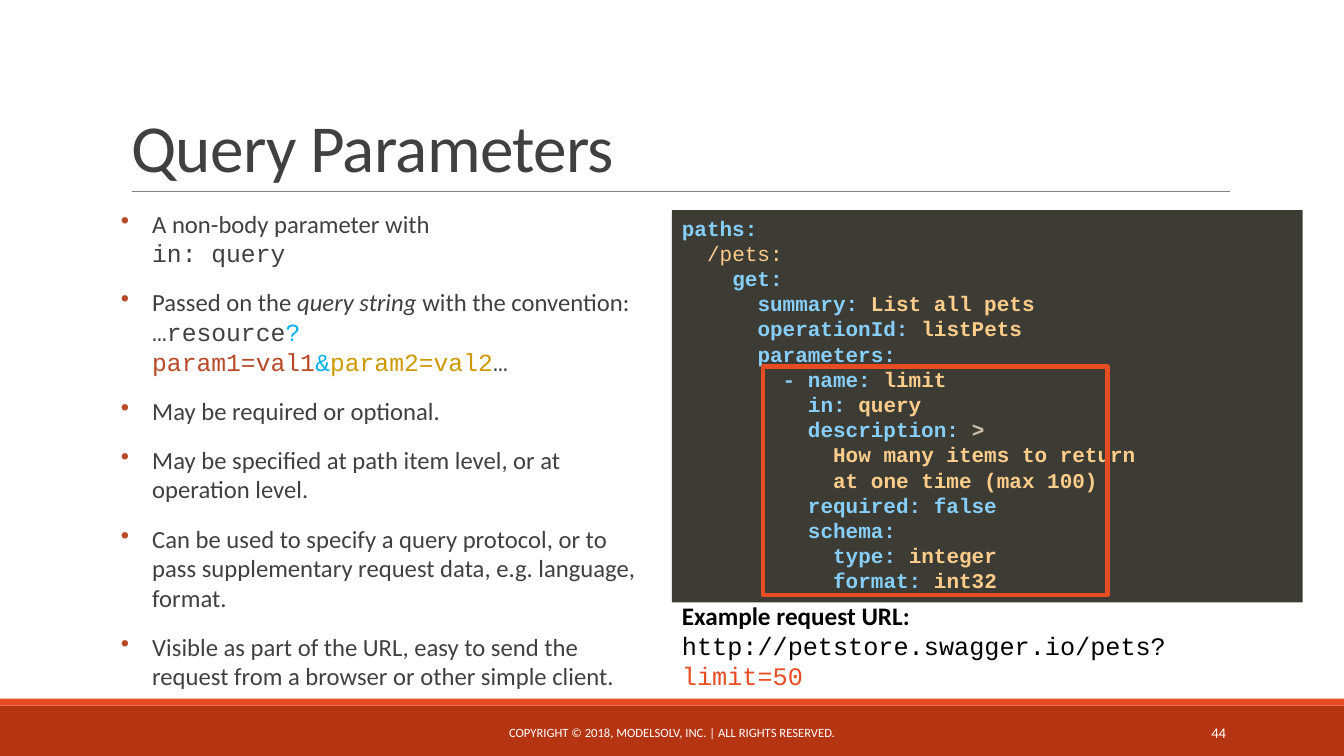
import pptx
import pptx.dml.color
import pptx.enum.shapes
import pptx.enum.text
import pptx.oxml
import pptx.oxml.ns
import pptx.util
from lxml import etree

RGBColor = pptx.dml.color.RGBColor
Pt = pptx.util.Pt
ALIGN = pptx.enum.text.PP_ALIGN
ANCHOR = pptx.enum.text.MSO_ANCHOR

WIDTH, HEIGHT = pptx.util.Inches(13.33), pptx.util.Inches(7.5)
SANS, MONO = "Calibri", "Courier New"

BRICK = RGBColor(0xB5, 0x35, 0x13)
ORANGE = RGBColor(0xE8, 0x4C, 0x22)
RUST = RGBColor(0xB6, 0x49, 0x26)
GOLD = RGBColor(0xCC, 0x99, 0x00)
CYAN = RGBColor(0x00, 0xB0, 0xF0)
GREY = RGBColor(0x80, 0x80, 0x80)
INK = RGBColor(0x40, 0x40, 0x40)
BLACK = RGBColor(0x00, 0x00, 0x00)
WHITE = RGBColor(0xFF, 0xFF, 0xFF)
CODE_BACK = RGBColor(0x3C, 0x3C, 0x34)
CODE_KEY = RGBColor(0x87, 0xCE, 0xFA)
CODE_VALUE = RGBColor(0xFF, 0xCD, 0x8B)
CODE_PLAIN = RGBColor(0xCF, 0xBF, 0xAD)

# Code lines: indent level, key, value
CODE = [
    (0, "paths:", ""),
    (1, "", "/pets:"),
    (2, "get:", ""),
    (3, "summary: ", "List all pets"),
    (3, "operationId: ", "listPets"),
    (3, "parameters:", ""),
    (4, "- name: ", "limit"),
    (5, "in: ", "query"),
    (5, "description:", " >"),
    (6, "", "How many items to return"),
    (6, "", "at one time (max 100)"),
    (5, "required: false", ""),
    (5, "schema:", ""),
    (6, "type: ", "integer"),
    (6, "format: ", "int32"),
]

# Bullets: runs of text with their font settings; None is a line break
BULLETS = [
    [("A non-body parameter with", {}), None, ("in: query", {"name": MONO})],
    [("Passed on the ", {}), ("query string", {"italic": True}),
     (" with the convention:", {}), None,
     ("…resource", {"name": MONO}),
     ("?", {"name": MONO, "color": CYAN}),
     ("param1=val1", {"name": MONO, "color": RUST}),
     ("&", {"name": MONO, "color": CYAN}),
     ("param2=val2", {"name": MONO, "color": GOLD}),
     ("…", {"name": MONO})],
    [("May be required or optional.", {})],
    [("May be specified at path item level, or at operation level.", {})],
    [("Can be used to specify a query protocol, or to pass supplementary "
      "request data, e.g. language, format.", {})],
    [("Visible as part of the URL, easy to send the request from a browser "
      "or other simple client.", {})],
]


def area(x, y, w, h):
    """Turn percentages of the slide into lengths."""
    return [int(size * share / 100) for size, share in
            zip((WIDTH, HEIGHT, WIDTH, HEIGHT), (x, y, w, h))]


def add_rect(s, place, fill=None, line=None):
    sp = s.shapes.add_shape(pptx.enum.shapes.MSO_SHAPE.RECTANGLE, *area(*place))
    sp.shadow.inherit = False
    if fill is None:
        sp.fill.background()
    else:
        sp.fill.solid()
        sp.fill.fore_color.rgb = fill
    if line is None:
        sp.line.fill.background()
    else:
        sp.line.color.rgb = line
        sp.line.width = Pt(3)
    return sp


def add_rule(s, x, y, w):
    left, top, width, _ = area(x, y, w, 0)
    rule = s.shapes.add_connector(
        pptx.enum.shapes.MSO_CONNECTOR.STRAIGHT, left, top, left + width, top)
    rule.line.color.rgb = GREY
    rule.line.width = Pt(0.5)
    etree.SubElement(rule._element.spPr, pptx.oxml.ns.qn("a:effectLst"))


def add_text_box(s, place, anchor=ANCHOR.TOP):
    tf = s.shapes.add_textbox(*area(*place)).text_frame
    tf.word_wrap = True
    tf.vertical_anchor = anchor
    return tf


def add_paragraph(tf, index, align=ALIGN.LEFT):
    p = tf.add_paragraph() if index else tf.paragraphs[0]
    p.alignment = align
    return p


def add_run(p, text, size, color=INK, name=SANS, bold=False, italic=False):
    r = p.add_run()
    r.text = text
    r.font.size = Pt(size)
    r.font.name = name
    r.font.bold = bold
    r.font.italic = italic
    r.font.color.rgb = color
    return r


def add_bullet(p):
    pPr = p._p.get_or_add_pPr()
    pPr.set("marL", str(pptx.util.Inches(0.31)))
    pPr.set("indent", str(-pptx.util.Inches(0.31)))
    color = etree.SubElement(pPr, pptx.oxml.ns.qn("a:buClr"))
    etree.SubElement(color, pptx.oxml.ns.qn("a:srgbClr")).set("val", str(RUST))
    etree.SubElement(pPr, pptx.oxml.ns.qn("a:buChar")).set("char", "•")


def add_bullet_list(s, place):
    tf = add_text_box(s, place)
    tf.margin_left = tf.margin_right = 0
    for i, runs in enumerate(BULLETS):
        p = add_paragraph(tf, i)
        add_bullet(p)
        p.space_before = Pt(12 if i else 0)
        p.space_after = Pt(2)
        for run in runs:
            if run is None:
                p.add_line_break()
            else:
                add_run(p, run[0], 17.6, **run[1])


def add_code(s, place):
    tf = add_rect(s, place, CODE_BACK).text_frame
    tf.word_wrap = True
    tf.vertical_anchor = ANCHOR.TOP
    for i, (level, key, value) in enumerate(CODE):
        p = add_paragraph(tf, i)
        if level:
            add_run(p, "  " * level, 15, CODE_PLAIN, MONO)
        if key:
            add_run(p, key, 15, CODE_KEY, MONO, bold=True)
        if value:
            color = CODE_PLAIN if value == " >" else CODE_VALUE
            add_run(p, value, 15, color, MONO, bold=value != "/pets:")


def add_label(s, place, text, size, align):
    tf = add_text_box(s, place, ANCHOR.MIDDLE)
    add_run(add_paragraph(tf, 0, align), text, size, WHITE)


def main():
    prs = pptx.Presentation()
    prs.slide_width, prs.slide_height = WIDTH, HEIGHT
    s = prs.slides.add_slide(prs.slide_layouts[6])

    # Footer bands and title rule
    add_rect(s, (0, 93.33, 100, 6.67), BRICK)
    add_rect(s, (0, 92.4, 100, 0.93), ORANGE)
    add_rule(s, 9.83, 25.3, 81.7)

    # Title
    tf = add_text_box(s, (9.03, 4, 82.5, 21.2), ANCHOR.BOTTOM)
    r = add_run(add_paragraph(tf, 0), "Query Parameters", 48)
    r.font._element.set("spc", "-50")

    # Bullets on the left, code on the right
    add_bullet_list(s, (9, 26.93, 38.93, 68.93))
    add_code(s, (50, 27.8, 46.92, 51.87))
    add_rect(s, (56.75, 48.47, 25.65, 30.27), line=ORANGE)

    # Example request
    tf = add_text_box(s, (50, 78.75, 43.05, 9.47))
    add_run(add_paragraph(tf, 0), "Example request URL:", 18, BLACK, bold=True)
    p = add_paragraph(tf, 1)
    add_run(p, "http://petstore.swagger.io/pets?", 18, BLACK, MONO)
    add_run(p, "limit=50", 18, ORANGE, MONO)

    # Footer text
    add_label(s, (30.23, 94.2, 39.53, 5.33),
              "COPYRIGHT © 2018, MODELSOLV, INC. | ALL RIGHTS RESERVED.",
              9, ALIGN.CENTER)
    add_label(s, (81.23, 94.2, 10.73, 5.33), "44", 10.5, ALIGN.RIGHT)

    prs.save("out.pptx")


if __name__ == "__main__":
    main()
